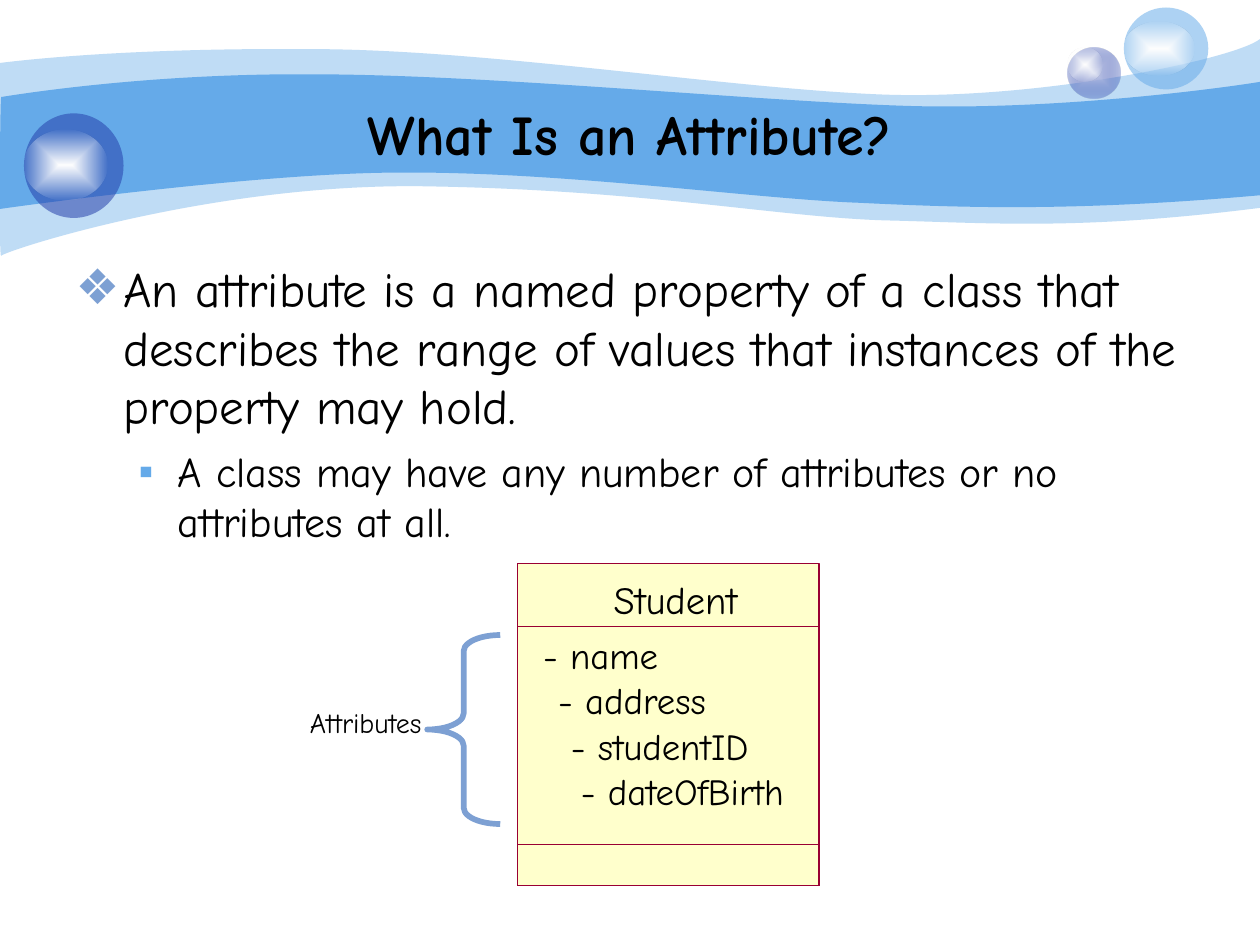
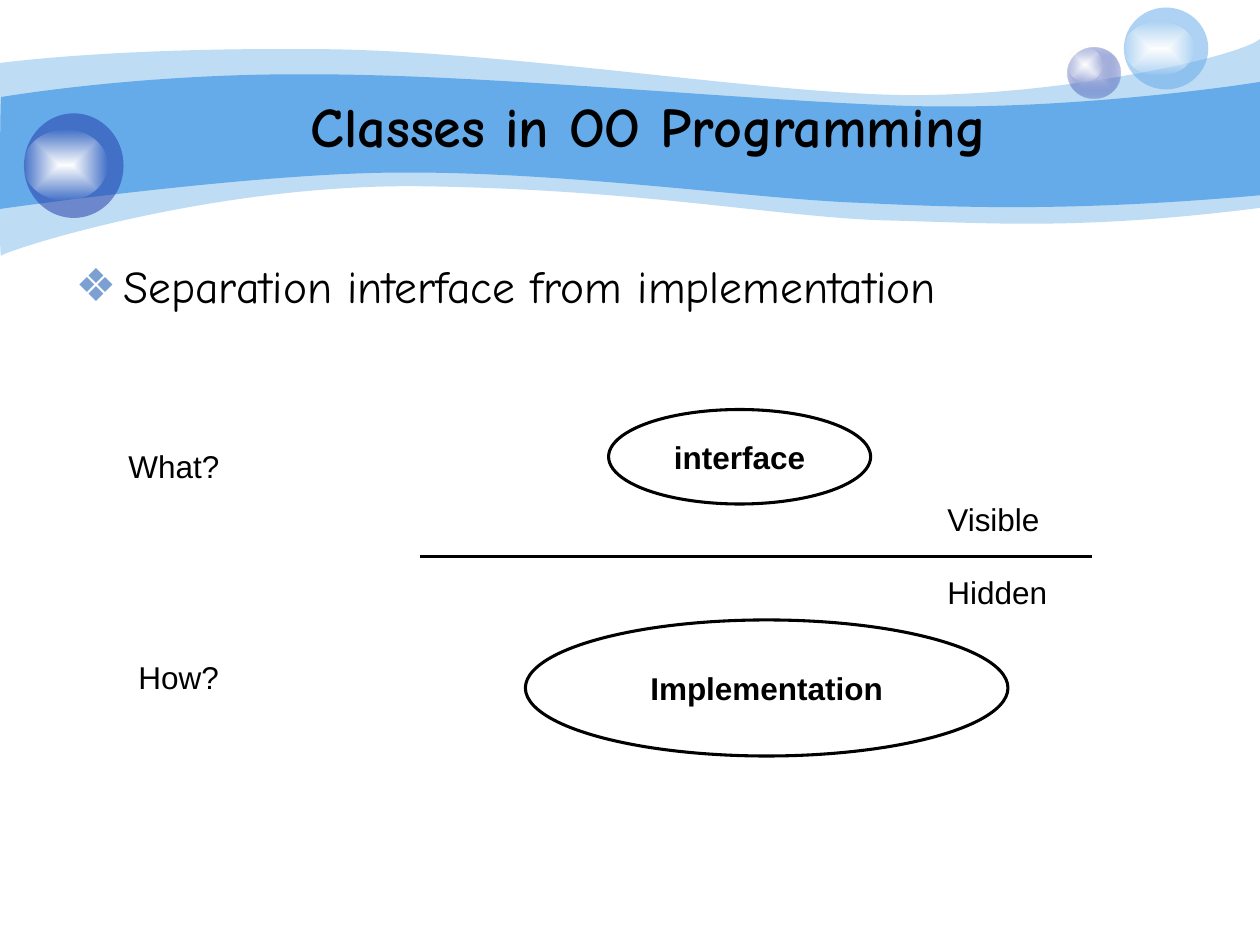
from dataclasses import dataclass
from typing import NamedTuple, Optional

from pptx import Presentation
from pptx.dml.color import RGBColor
from pptx.enum.shapes import MSO_CONNECTOR, MSO_SHAPE
from pptx.enum.text import MSO_ANCHOR, MSO_AUTO_SIZE, PP_ALIGN
from pptx.oxml import parse_xml
from pptx.oxml.ns import nsdecls, qn
from pptx.oxml.xmlchemy import OxmlElement
from pptx.shapes.autoshape import Shape
from pptx.slide import Slide, SlideLayout
from pptx.text.text import TextFrame
from pptx.util import Pt

PX = 9144  # EMU in one px, 100 px to the inch

BLACK = RGBColor(0x00, 0x00, 0x00)
WHITE = RGBColor(0xFF, 0xFF, 0xFF)
SKY = RGBColor(0x65, 0xAA, 0xE9)
NAVY = RGBColor(0x23, 0x3D, 0xA9)
LAVENDER = RGBColor(0xC7, 0xCE, 0xE9)
STEEL = RGBColor(0x7D, 0xA0, 0xD3)
CREAM = RGBColor(0xFF, 0xFF, 0xCC)
MAROON = RGBColor(0x99, 0x00, 0x33)

COMIC = "Comic Neue"
ARIAL = "Arial"


class Box(NamedTuple):
    left: int
    top: int
    width: int
    height: int

    def emu(self) -> list[int]:
        return [length * PX for length in self]


class Stop(NamedTuple):
    color: RGBColor
    opacity: int = 100


@dataclass(frozen=True)
class Band:
    """Segments hold two coordinates for a line and six for a Bezier curve."""
    start: tuple[int, int]
    segments: tuple[tuple[int, ...], ...]
    opacity: int


@dataclass(frozen=True)
class Ball:
    box: Box
    fill: tuple[Stop, ...]
    glow: Box


@dataclass(frozen=True)
class Bullet:
    character: str
    color: RGBColor
    margin: int
    hanging: int
    level: int = 0


@dataclass(frozen=True)
class Label:
    text: str
    box: Box


BANDS = (
    Band((0, 50), (
        (24, 47, 107, 38, 247, 39), (386, 39, 575, 70, 699, 75),
        (822, 80, 980, 47, 1000, 31), (1000, 165),
        (858, 183, 787, 177, 705, 175), (622, 173, 515, 151, 343, 148),
        (172, 144, 4, 199, 1, 203), (-1, 208, 0, 75, 0, 50)), 41),
    Band((1, 77), (
        (2, 77, 110, 58, 248, 59), (386, 59, 595, 80, 718, 84),
        (841, 88, 976, 69, 1000, 65), (1000, 155),
        (853, 168, 765, 165, 682, 161), (599, 158, 447, 136, 317, 137),
        (203, 137, -2, 166, -1, 166), (0, 166, 0, 77, 1, 77)), 100),
)
BALLS = (
    Ball(Box(847, 38, 42, 40), (Stop(LAVENDER), Stop(NAVY, 31)), Box(847, 38, 28, 27)),
    Ball(Box(892, 6, 67, 65), (Stop(SKY, 53),), Box(892, 17, 56, 43)),
    Ball(Box(19, 90, 79, 83), (Stop(NAVY, 53),), Box(19, 103, 66, 56)),
)
GLOW = (Stop(WHITE), Stop(WHITE, 0))

BODY = Box(50, 200, 900, 492)
DIAMOND = Bullet("❖", STEEL, 38, 38)
SQUARE = Bullet("▪", SKY, 81, 31, level=1)

ATTRIBUTES = (("- name", 431, 95), ("- address", 443, 122),
              ("- studentID", 453, 145), ("- dateOfBirth", 461, 166))
ATTRIBUTES_TOP, ATTRIBUTE_PITCH = 502, 36

OVALS = (Label("interface", Box(483, 325, 208, 75)),
         Label("Implementation", Box(417, 492, 383, 108)))
CAPTIONS = (Label("What?", Box(92, 350, 258, 40)), Label("How?", Box(100, 517, 292, 40)),
            Label("Visible", Box(742, 392, 158, 40)), Label("Hidden", Box(742, 450, 158, 40)))


def write(frame: TextFrame, text: str, *, size: float, font: str = COMIC,
          bold: bool = False, align: PP_ALIGN = PP_ALIGN.LEFT,
          space_before: float = 0, bullet: Optional[Bullet] = None) -> None:
    """Fill the empty first paragraph of the frame, or add one after the others."""
    paragraph = frame.add_paragraph() if frame.text else frame.paragraphs[0]
    if bullet:
        paragraph.level = bullet.level
        properties = paragraph._p.get_or_add_pPr()
        properties.set("marL", str(bullet.margin * PX))
        properties.set("indent", str(-bullet.hanging * PX))
        properties.append(parse_xml(
            f'<a:buClr {nsdecls("a")}><a:srgbClr val="{bullet.color}"/></a:buClr>'))
        properties.append(parse_xml(
            f'<a:buChar {nsdecls("a")} char="{bullet.character}"/>'))
    paragraph.alignment = align
    paragraph.space_before = Pt(space_before)
    run = paragraph.add_run()
    run.text = text
    run.font.size = Pt(size)
    run.font.name = font
    run.font.bold = bold
    run.font.color.rgb = BLACK


def paint(shape: Shape, stops: tuple[Stop, ...]) -> None:
    """Fill with one colour, or with a gradient from the centre outwards."""
    colors = [f'<a:srgbClr val="{stop.color}"><a:alpha val="{stop.opacity * 1000}"/></a:srgbClr>'
              for stop in stops]
    if len(stops) == 1:
        fill = f'<a:solidFill {nsdecls("a")}>{colors[0]}</a:solidFill>'
    else:
        inner, outer = colors
        fill = (f'<a:gradFill {nsdecls("a")} rotWithShape="1"><a:gsLst>'
                f'<a:gs pos="0">{inner}</a:gs><a:gs pos="100000">{outer}</a:gs></a:gsLst>'
                '<a:path path="rect"><a:fillToRect l="50000" t="50000" r="50000" b="50000"/>'
                '</a:path></a:gradFill>')
    shape.fill.background()
    properties = shape.element.spPr
    properties.replace(properties.find(qn("a:noFill")), parse_xml(fill))


def add_shape(slide: Slide, kind: MSO_SHAPE, box: Box, *, fill: tuple[Stop, ...] = (),
              line: Optional[RGBColor] = None, width: float = 0) -> Shape:
    shape = slide.shapes.add_shape(kind, *box.emu())
    shape.shadow.inherit = False
    if fill:
        paint(shape, fill)
    else:
        shape.fill.background()
    if line is None:
        shape.line.fill.background()
    else:
        shape.line.color.rgb = line
        shape.line.width = Pt(width)
    return shape


def add_label(slide: Slide, label: Label, *, wrap: bool = False,
              insets: tuple[int, int] = (0, 0), **text_format) -> None:
    frame = slide.shapes.add_textbox(*label.box.emu()).text_frame
    frame.margin_left = frame.margin_right = insets[0] * PX
    frame.margin_top = frame.margin_bottom = insets[1] * PX
    frame.word_wrap = wrap
    frame.auto_size = MSO_AUTO_SIZE.SHAPE_TO_FIT_TEXT
    write(frame, label.text, **text_format)


def add_band(slide: Slide, band: Band) -> Shape:
    """Join the end points by lines, then bend those that are Bezier curves."""
    ends = [segment[-2:] for segment in band.segments]
    builder = slide.shapes.build_freeform(*band.start, scale=PX)
    builder.add_line_segments(ends, close=True)
    shape = builder.convert_to_shape()
    left, top = (min(values) for values in zip(band.start, *ends))
    lines = list(shape.element.iter(qn("a:lnTo")))
    for line, segment in zip(lines, band.segments):
        if len(segment) == 6:
            points = "".join(f'<a:pt x="{x - left}" y="{y - top}"/>'
                             for x, y in zip(segment[::2], segment[1::2]))
            line.getparent().replace(line, parse_xml(
                f'<a:cubicBezTo {nsdecls("a")}>{points}</a:cubicBezTo>'))
    shape.shadow.inherit = False
    paint(shape, (Stop(SKY, band.opacity),))
    shape.line.fill.background()
    return shape


def draw_backdrop(slide: Slide, layout: SlideLayout) -> None:
    """Draw bands and balls with the slide's tools, then move them to its layout."""
    for placeholder in list(layout.placeholders):
        if placeholder.placeholder_format.idx >= 10:
            placeholder.element.getparent().remove(placeholder.element)
    drawn = [add_band(slide, band) for band in BANDS]
    for ball in BALLS:
        for box, fill in ((ball.box, ball.fill), (ball.glow, GLOW)):
            drawn.append(add_shape(slide, MSO_SHAPE.OVAL, box, fill=fill))
    for shape in drawn:
        layout.shapes.element.append(shape.element)


def place(placeholder: Shape, box: Box, anchor: MSO_ANCHOR) -> TextFrame:
    placeholder.left, placeholder.top, placeholder.width, placeholder.height = box.emu()
    frame = placeholder.text_frame
    frame.auto_size = MSO_AUTO_SIZE.NONE
    frame.word_wrap = True
    frame.vertical_anchor = anchor
    return frame


def set_title(slide: Slide, text: str, box: Box) -> None:
    frame = place(slide.shapes.title, box, MSO_ANCHOR.MIDDLE)
    write(frame, text, size=32, bold=True, align=PP_ALIGN.CENTER)


def fill_attribute_slide(slide: Slide) -> None:
    set_title(slide, "What Is an Attribute?", Box(0, 75, 1000, 62))
    body = place(slide.placeholders[1], BODY, MSO_ANCHOR.TOP)
    write(body, "An attribute is a named property of a class that describes the range "
                "of values that instances of the property may hold.", size=28, bullet=DIAMOND)
    write(body, "A class may have any number of attributes or no attributes at all.",
          size=24, space_before=6, bullet=SQUARE)

    brace = add_shape(slide, MSO_SHAPE.LEFT_BRACE, Box(339, 504, 58, 150),
                      line=STEEL, width=3.25)
    brace.adjustments[0] = 0.22
    add_label(slide, Label("Attributes", Box(234, 554, 113, 39)), insets=(12, 6), size=16)

    class_left, class_width, class_bottom = 411, 239, 703
    for top, fill in ((447, (Stop(CREAM),)), (497, ()), (670, ())):
        add_shape(slide, MSO_SHAPE.RECTANGLE,
                  Box(class_left, top, class_width, class_bottom - top),
                  fill=fill, line=MAROON)
    add_label(slide, Label("Student", Box(487, 457, 102, 37)), size=22)
    for row, (text, left, width) in enumerate(ATTRIBUTES):
        top = ATTRIBUTES_TOP + row * ATTRIBUTE_PITCH
        add_label(slide, Label(text, Box(left, top, width, 35)), size=21)


def fill_classes_slide(slide: Slide) -> None:
    set_title(slide, "Classes in OO Programming", Box(63, 33, 904, 133))
    body = place(slide.placeholders[1], BODY, MSO_ANCHOR.TOP)
    write(body, "Separation interface from implementation", size=26, bullet=DIAMOND)

    divider = slide.shapes.add_connector(
        MSO_CONNECTOR.STRAIGHT, 333 * PX, 442 * PX, 867 * PX, 442 * PX)
    divider.line.color.rgb = BLACK
    divider.line.width = Pt(1.75)
    divider.element.spPr.append(OxmlElement("a:effectLst"))

    for oval in OVALS:
        shape = add_shape(slide, MSO_SHAPE.OVAL, oval.box, line=BLACK, width=1.75)
        frame = shape.text_frame
        frame.word_wrap = False
        frame.vertical_anchor = MSO_ANCHOR.MIDDLE
        write(frame, oval.text, size=18, font=ARIAL, bold=True, align=PP_ALIGN.CENTER)
    for caption in CAPTIONS:
        add_label(slide, caption, wrap=True, insets=(10, 5), size=18, font=ARIAL)


def main() -> None:
    presentation = Presentation()
    presentation.slide_width, presentation.slide_height = 1000 * PX, 750 * PX
    layout = presentation.slide_layouts[1]
    attribute_slide = presentation.slides.add_slide(layout)
    draw_backdrop(attribute_slide, layout)
    fill_attribute_slide(attribute_slide)
    fill_classes_slide(presentation.slides.add_slide(layout))
    presentation.save("out.pptx")


if __name__ == "__main__":
    main()
